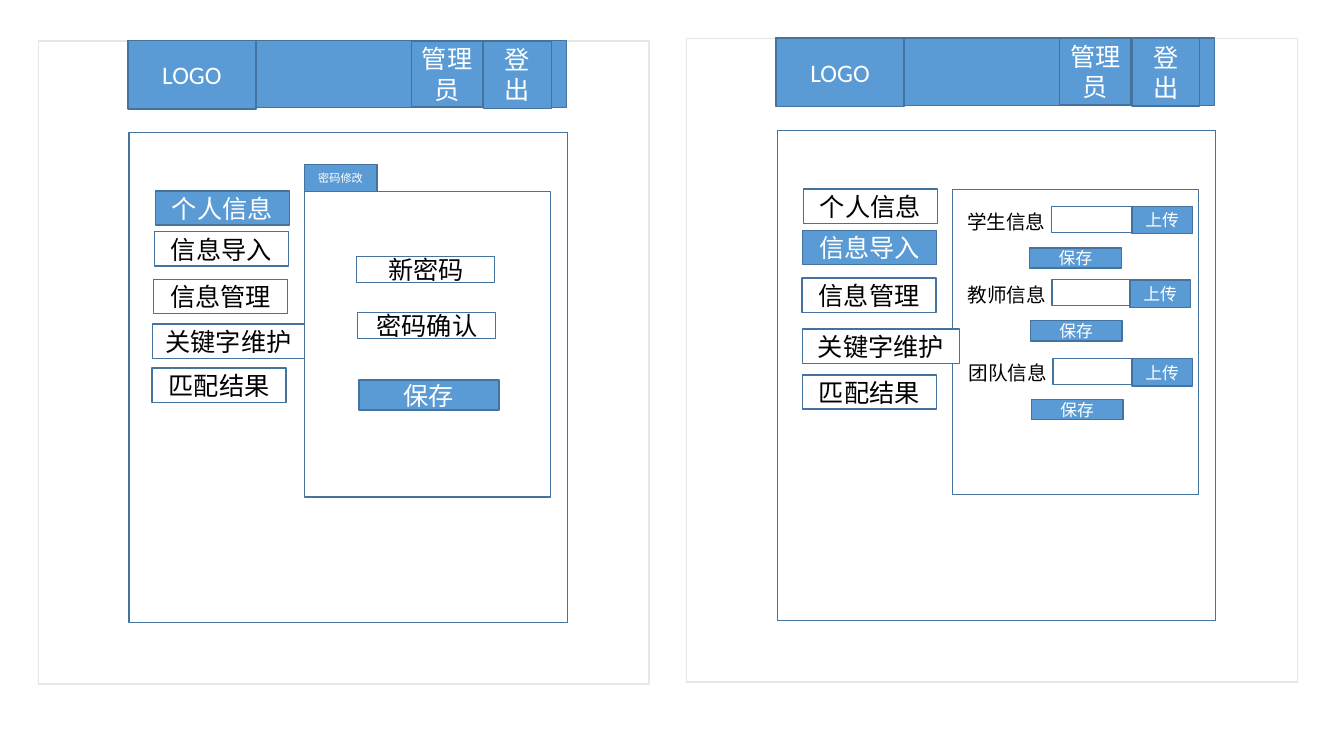
from pptx import Presentation
from pptx.dml.color import RGBColor
from pptx.enum.shapes import MSO_SHAPE
from pptx.enum.text import MSO_ANCHOR, MSO_AUTO_SIZE, PP_ALIGN
from pptx.util import Pt

BLUE, BORDER, GREY, WHITE, BLACK = "5B9BD5", "43739E", "E7E6E6", "FFFFFF", "000000"
MENU = ["个人信息", "信息导入", "信息管理", "关键字维护", "匹配结果"]


def color(value):
    """Turn a hex string into a colour."""
    return RGBColor.from_string(value)


def apply_format(target, values):
    """Set each named attribute of the target."""
    for name, value in values.items():
        setattr(target, name, value)


def write(box, text, size, ink, align):
    """Write one line of formatted text into a box."""
    para = box.text_frame.paragraphs[0]
    para.alignment = align
    span = para.add_run()
    span.text = text
    apply_format(span.font, {"size": Pt(size), "name": "Calibri"})
    span.font.color.rgb = color(ink)


def add_box(slide, place, text="", size=18, fill=WHITE, line=BORDER):
    """Draw a bordered rectangle with optional centred text."""
    box = slide.shapes.add_shape(MSO_SHAPE.RECTANGLE, *map(Pt, place))
    box.shadow.inherit = False
    if fill:
        box.fill.solid()
        box.fill.fore_color.rgb = color(fill)
    else:
        box.fill.background()
    box.line.color.rgb = color(line)
    box.line.width = Pt(1)
    apply_format(box.text_frame, {"word_wrap": True, "vertical_anchor": MSO_ANCHOR.MIDDLE})
    if text:
        write(box, text, size, WHITE if fill == BLUE else BLACK, PP_ALIGN.CENTER)


def add_label(slide, place, text):
    """Add a plain form label."""
    box = slide.shapes.add_textbox(*map(Pt, place))
    apply_format(box.text_frame, {"word_wrap": True, "auto_size": MSO_AUTO_SIZE.SHAPE_TO_FIT_TEXT})
    write(box, text, 14, BLACK, PP_ALIGN.LEFT)


def add_page(slide, left, top):
    """Draw the page frame, header, body and content panel."""
    add_box(slide, (left, top, 436.3, 459.4), line=GREY)
    add_box(slide, (left + 64, top - 0.5, 313.2, 48.2), fill=BLUE)
    add_box(slide, (left + 64, top - 0.5, 91.4, 49), "LOGO", fill=BLUE)
    add_box(slide, (left + 266.4, top, 51.1, 46.8), "管理员", fill=BLUE)
    add_box(slide, (left + 318.2, top, 48.2, 48.2), "登出", fill=BLUE)
    add_box(slide, (left + 64.8, top + 65.5, 313.2, 350))
    add_box(slide, (left + 190, top + 107.5, 175.7, 218.2), fill=None)


def add_menu(slide, places, active, keyword_width):
    """Draw the side menu with the active entry highlighted."""
    for text, (left, top) in zip(MENU, places):
        width = keyword_width if text == "关键字维护" else 95.8
        fill = BLUE if text == active else WHITE
        add_box(slide, (left, top, width, 24.5), text, fill=fill)


def add_password_form(slide):
    """Draw the password form with its tab."""
    add_box(slide, (217.4, 117.4, 51.8, 19.4), "密码修改", 8, BLUE)
    add_box(slide, (254.9, 183.3, 98.6, 18.7), "新密码")
    add_box(slide, (255.6, 223.2, 98.6, 18.7), "密码确认")
    add_box(slide, (256.3, 271.4, 100.1, 21.6), "保存", fill=BLUE)


def add_upload_row(slide, text, left, top, upload_left, upload_top):
    """Draw one import row with its field and buttons."""
    add_box(slide, (left, top, 98.6, 18.7))
    add_box(slide, (left - 15.5, top + 29.5, 65.5, 14.4), "保存", 12, BLUE)
    add_label(slide, (left - 67.3, top - 1.4, 74.9, 23.8), text)
    add_box(slide, (upload_left, upload_top, 43.2, 19.4), "上传", 12, BLUE)


def main():
    """Build the two administrator page wireframes."""
    deck = Presentation()
    apply_format(deck, {"slide_width": Pt(960), "slide_height": Pt(540)})
    slide = deck.slides.add_slide(deck.slide_layouts[6])

    add_page(slide, 27.4, 29.3)
    add_password_form(slide)
    add_menu(slide, [(110.9, 136.4), (110.2, 165.6), (109.6, 199.6),
                     (108.9, 231.6), (108.6, 263)], "个人信息", 108.7)

    add_page(slide, 490.4, 27.7)
    for row in [("学生信息", 751, 147.6, 808.6, 147.6),
                ("教师信息", 751.5, 199.6, 807.1, 200.2),
                ("团队信息", 752.2, 255.9, 808.6, 256.3)]:
        add_upload_row(slide, *row)
    add_menu(slide, [(573.8, 135.1), (573.3, 164.5), (572.9, 198.6),
                     (573.1, 235), (573.1, 267.8)], "信息导入", 112.3)
    deck.save("out.pptx")


main()
